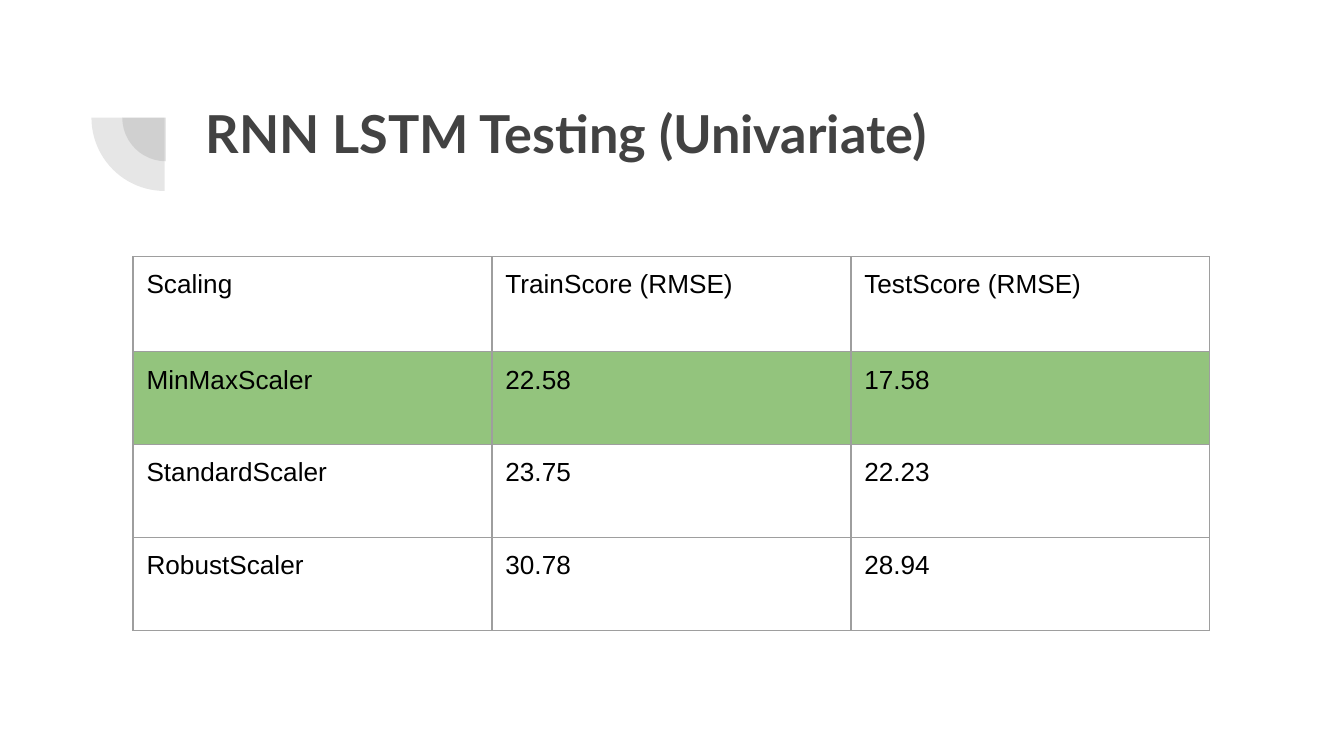
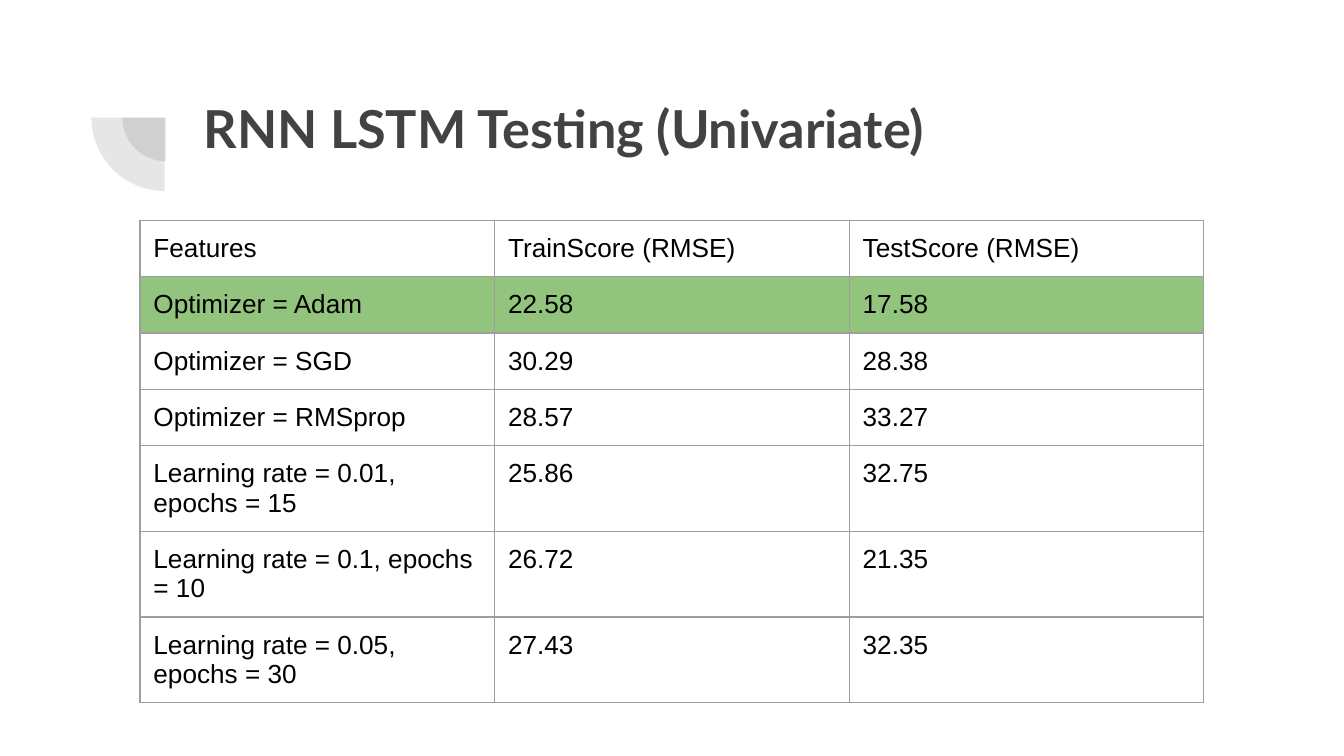
from lxml import etree
from pptx import Presentation
from pptx.dml.color import RGBColor
from pptx.enum.shapes import MSO_SHAPE
from pptx.enum.text import MSO_ANCHOR, MSO_AUTO_SIZE, PP_ALIGN
from pptx.oxml import parse_xml
from pptx.oxml.ns import nsdecls, qn
from pptx.util import Pt

PIE = MSO_SHAPE.PIE
TOP = MSO_ANCHOR.TOP
LEFT = PP_ALIGN.LEFT
FIXED = MSO_AUTO_SIZE.NONE

HUES = {"ink": "424242", "text": "000000", "best": "93C47D", "rule": "9E9E9E"}
TITLE_FONT = {"name": "Lato", "size": Pt(28), "bold": True}
CELL_FONT = {"name": "Arial", "size": Pt(14), "bold": False}
FRAME = {"word_wrap": True, "vertical_anchor": TOP, "auto_size": FIXED}
INSET = Pt(7.2)
SIDES = ("left", "top", "right", "bottom")
PIES = [(65.5, 39.6, 46.8), (49, 23.8, 78.5)]  # left, top, size
BEST_ROW = 1

SCORES = ["TrainScore (RMSE)", "TestScore (RMSE)"]
PAGES = [
    {
        "title": (103, 46.8),
        "table": (71.3, 137.5),
        "col": 192.3,
        "heights": [51] + [49.7] * 3,
        "rows": [
            ["Scaling", *SCORES],
            ["MinMaxScaler", "22.58", "17.58"],
            ["StandardScaler", "23.75", "22.23"],
            ["RobustScaler", "30.78", "28.94"],
        ],
    },
    {
        "title": (101.8, 44.3),
        "table": (75, 118),
        "col": 190,
        "heights": [30.2] * 4 + [45.8] * 3,
        "rows": [
            ["Features", *SCORES],
            ["Optimizer = Adam", "22.58", "17.58"],
            ["Optimizer = SGD", "30.29", "28.38"],
            ["Optimizer = RMSprop", "28.57", "33.27"],
            ["Learning rate = 0.01, epochs = 15", "25.86", "32.75"],
            ["Learning rate = 0.1, epochs = 10", "26.72", "21.35"],
            ["Learning rate = 0.05, epochs = 30", "27.43", "32.35"],
        ],
    },
]


def style(para, font, hue):
    para.alignment = LEFT
    for key, value in font.items():
        setattr(para.font, key, value)
    para.font.color.rgb = RGBColor.from_string(HUES[hue])


def add_borders(cell):
    props = cell._tc.get_or_add_tcPr()
    for side in "LRTB":
        props.append(parse_xml(
            f'<a:ln{side} {nsdecls("a")} w="{Pt(0.75)}"><a:solidFill>'
            f'<a:srgbClr val="{HUES["rule"]}"/></a:solidFill></a:ln{side}>'))


deck = Presentation()
deck.slide_width, deck.slide_height = Pt(720), Pt(405)

for page in PAGES:
    slide = deck.slides.add_slide(deck.slide_layouts[5])

    for left, top, size in PIES:
        pie = slide.shapes.add_shape(PIE, Pt(left), Pt(top), Pt(size), Pt(size))
        pie.adjustments[0], pie.adjustments[1] = 108, 162
        pie.rotation = 270
        pie.shadow.inherit = False
        pie.line.fill.background()
        pie.fill.solid()
        pie.fill.fore_color.rgb = RGBColor.from_string(HUES["ink"])
        tint = pie._element.spPr.find(".//" + qn("a:srgbClr"))
        etree.SubElement(tint, qn("a:alpha"), val="13000")

    title = slide.shapes.title
    title.left, title.top = map(Pt, page["title"])
    title.width, title.height = Pt(553.7), Pt(78.5)
    frame = title.text_frame
    frame.text = "RNN LSTM Testing (Univariate)"
    for key, value in FRAME.items():
        setattr(frame, key, value)
    for side in SIDES:
        setattr(frame, "margin_" + side, INSET)
    style(frame.paragraphs[0], TITLE_FONT, "ink")

    rows, heights = page["rows"], page["heights"]
    left, top = page["table"]
    count = len(rows[0])
    table = slide.shapes.add_table(
        len(rows), count, Pt(left), Pt(top),
        Pt(page["col"] * count), Pt(sum(heights))).table
    table.first_row = table.horz_banding = False
    for col in table.columns:
        col.width = Pt(page["col"])
    for r, (row, height) in enumerate(zip(rows, heights)):
        table.rows[r].height = Pt(height)
        for c, text in enumerate(row):
            cell = table.cell(r, c)
            cell.text = text
            cell.vertical_anchor = TOP
            for side in SIDES:
                setattr(cell, "margin_" + side, INSET)
            add_borders(cell)
            if r == BEST_ROW:
                cell.fill.solid()
                cell.fill.fore_color.rgb = RGBColor.from_string(HUES["best"])
            else:
                cell.fill.background()
            style(cell.text_frame.paragraphs[0], CELL_FONT, "text")

deck.save("out.pptx")
